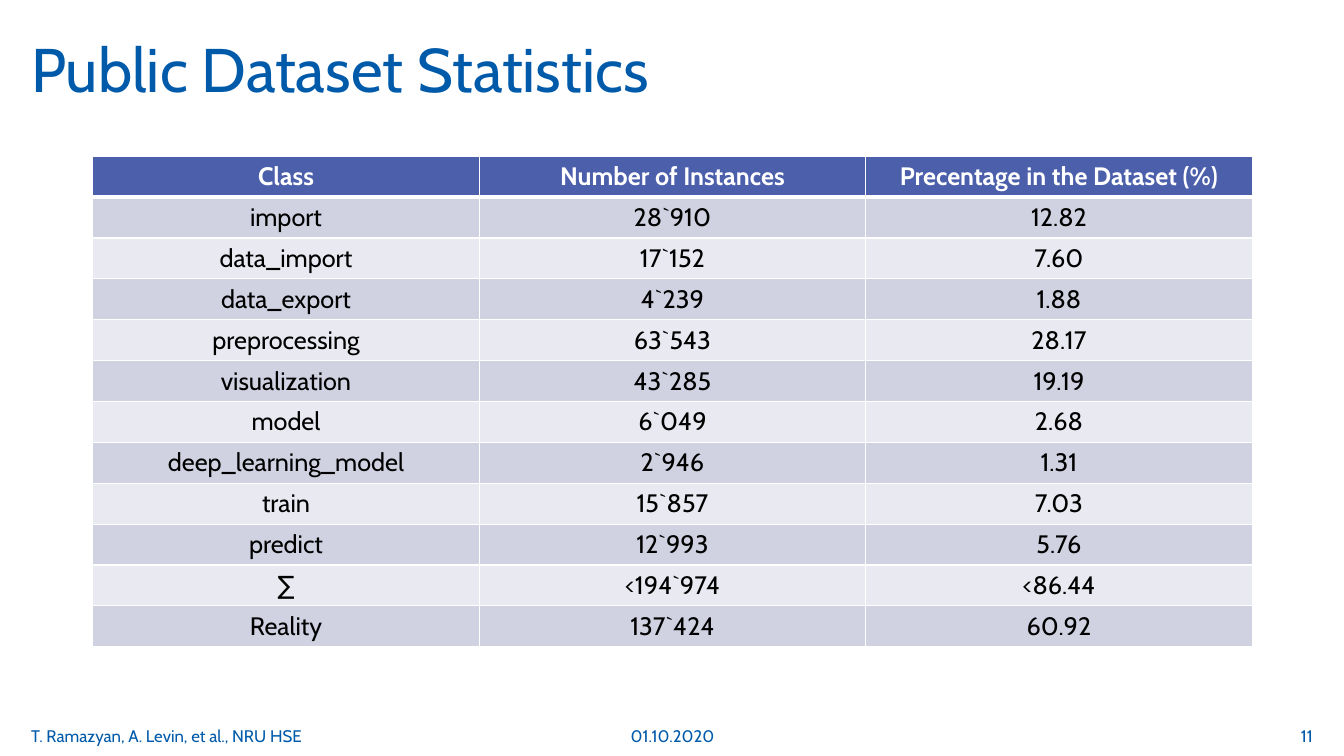
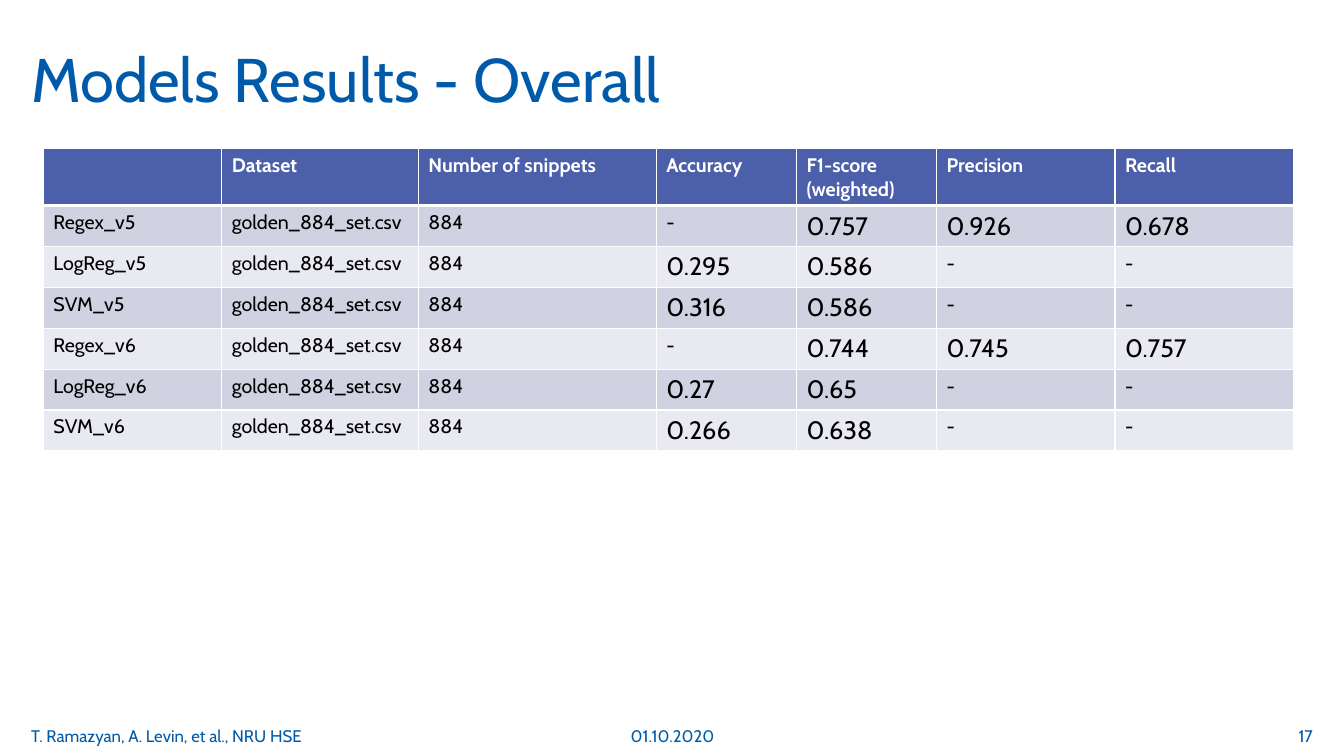
"""Build two slides of dataset statistics and model results."""
import pptx
import pptx.dml.color
import pptx.enum.text
import pptx.oxml
import pptx.oxml.ns
import pptx.util
from pptx.util import Inches

FONT = "Cabin"
BLUE, HEADER_FILL, WHITE, BLACK = "005AAA", "4C5FAB", "FFFFFF", "000000"
BAND_FILLS = ("D0D2E2", "E9EAF1")
ROW_HEIGHT = 4.87 / 12
LEFT, CENTER, RIGHT = (
    pptx.enum.text.PP_ALIGN.LEFT,
    pptx.enum.text.PP_ALIGN.CENTER,
    pptx.enum.text.PP_ALIGN.RIGHT,
)
AUTHORS, DATE = "T. Ramazyan, A. Levin, et al., NRU HSE", "01.10.2020"

CLASS_ROWS = [
    ("Class", "Number of Instances", "Precentage in the Dataset (%)"),
    ("import", "28`910", "12.82"),
    ("data_import", "17`152", "7.60"),
    ("data_export", "4`239", "1.88"),
    ("preprocessing", "63`543", "28.17"),
    ("visualization", "43`285", "19.19"),
    ("model", "6`049", "2.68"),
    ("deep_learning_model", "2`946", "1.31"),
    ("train", "15`857", "7.03"),
    ("predict", "12`993", "5.76"),
    ("∑", "<194`974", "<86.44"),
    ("Reality", "137`424", "60.92"),
]

GOLDEN_SET = ("golden_884_set.csv", "884")
MODEL_ROWS = [
    ("", "Dataset", "Number of snippets", "Accuracy", "F1-score (weighted)", "Precision", "Recall"),
    ("Regex_v5", *GOLDEN_SET, "-", "0.757", "0.926", "0.678"),
    ("LogReg_v5", *GOLDEN_SET, "0.295", "0.586", "-", "-"),
    ("SVM_v5", *GOLDEN_SET, "0.316", "0.586", "-", "-"),
    ("Regex_v6", *GOLDEN_SET, "-", "0.744", "0.745", "0.757"),
    ("LogReg_v6", *GOLDEN_SET, "0.27", "0.65", "-", "-"),
    ("SVM_v6", *GOLDEN_SET, "0.266", "0.638", "-", "-"),
]

SLIDES = [
    dict(title="Public Dataset Statistics", title_top=0.3, number="11",
         table=dict(rows=CLASS_ROWS, left=0.92, top=1.55, widths=[11.5 / 3] * 3,
                    header_height=ROW_HEIGHT, size=18, score_size=18, align=CENTER)),
    dict(title="Models Results - Overall", title_top=0.4, number="17",
         table=dict(rows=MODEL_ROWS, left=0.43, top=1.47,
                    widths=[1.77, 1.95, 2.36, 1.39, 1.39, 1.77, 1.77],
                    header_height=0.57, size=14, score_size=18, align=LEFT)),
]


def rgb(value):
    return pptx.dml.color.RGBColor.from_string(value)


def write_text(frame, text, size, color=BLUE, bold=False, align=LEFT, spacing=None):
    paragraph = frame.paragraphs[0]
    paragraph.alignment = align
    if spacing:
        paragraph.line_spacing = spacing
    run = paragraph.add_run()
    run.text = text
    run.font.name = FONT
    run.font.size = pptx.util.Pt(size)
    run.font.bold = bold
    run.font.color.rgb = rgb(color)


def add_label(slide, text, box, **text_format):
    frame = slide.shapes.add_textbox(*map(Inches, box)).text_frame
    frame.word_wrap = True
    frame.vertical_anchor = pptx.enum.text.MSO_ANCHOR.MIDDLE
    write_text(frame, text, **text_format)


def set_borders(cell, top, bottom):
    properties = cell._tc.get_or_add_tcPr()
    for index, (side, points) in enumerate(dict(L=1, R=1, T=top, B=bottom).items()):
        line = pptx.oxml.parse_xml(
            f'<a:ln{side} {pptx.oxml.ns.nsdecls("a")} w="{pptx.util.Pt(points)}">'
            f'<a:solidFill><a:srgbClr val="{WHITE}"/></a:solidFill></a:ln{side}>'
        )
        properties.insert(index, line)


def add_data_table(slide, rows, left, top, widths, header_height, size, score_size, align):
    heights = [header_height] + [ROW_HEIGHT] * (len(rows) - 1)
    box = map(Inches, (left, top, sum(widths), sum(heights)))
    table = slide.shapes.add_table(len(rows), len(widths), *box).table
    for column, width in zip(table.columns, widths):
        column.width = Inches(width)
    for row_index, (texts, height) in enumerate(zip(rows, heights)):
        table.rows[row_index].height = Inches(height)
        is_header = row_index == 0
        fill = HEADER_FILL if is_header else BAND_FILLS[(row_index - 1) % 2]
        for column_index, text in enumerate(texts):
            cell = table.cell(row_index, column_index)
            cell.fill.solid()
            cell.fill.fore_color.rgb = rgb(fill)
            set_borders(cell, top=3 if row_index == 1 else 1, bottom=3 if is_header else 1)
            if text:
                write_text(cell.text_frame, text,
                           size=score_size if text.startswith("0.") else size,
                           color=WHITE if is_header else BLACK,
                           bold=is_header, align=align)


def add_footer(slide, number):
    for text, left, width, align in (
        (AUTHORS, 0.21, 4.12, LEFT),
        (DATE, 5.71, 1.92, CENTER),
        (number, 10.12, 3, RIGHT),
    ):
        add_label(slide, text, (left, 7.1, width, 0.4), size=12, align=align)


def main():
    presentation = pptx.Presentation()
    presentation.slide_width = Inches(13.33)
    presentation.slide_height = Inches(7.5)
    for content in SLIDES:
        slide = presentation.slides.add_slide(presentation.slide_layouts[6])
        add_label(slide, content["title"], (0.21, content["title_top"], 12.91, 0.84),
                  size=44, spacing=0.9)
        add_data_table(slide, **content["table"])
        add_footer(slide, content["number"])
    presentation.save("out.pptx")


if __name__ == "__main__":
    main()
